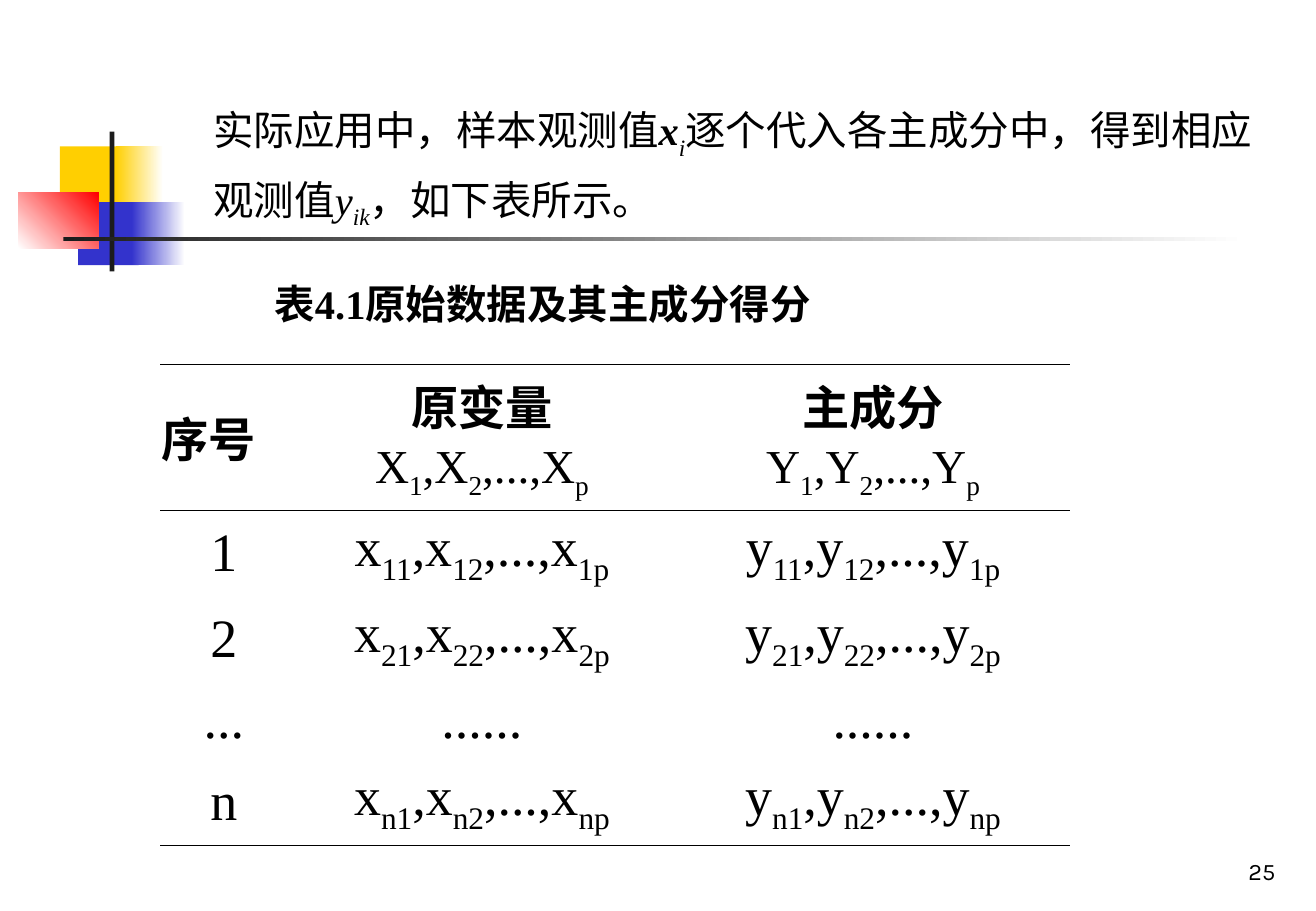
from lxml import etree
from pptx import Presentation
from pptx.dml.color import RGBColor
from pptx.enum.shapes import MSO_SHAPE as Shape
from pptx.enum.text import MSO_ANCHOR as Anchor, MSO_AUTO_SIZE as Fit, PP_ALIGN as Align
from pptx.oxml.ns import qn
from pptx.util import Pt

SERIF = "Times New Roman"
BLACK, WHITE, DARK = "000000", "FFFFFF", "1C1C1C"
GOLD, BLUE, RED = "FFCF01", "3333CC", "FF0000"
PLAIN = "{2D5ABB26-0587-4C30-8999-92F81FD0307C}"  # table style without grid


def color(code):
    return RGBColor.from_string(code)


def write(para, parts, size, face=SERIF):
    """Add (text, style) runs; style letters: b bold, i italic, s subscript."""
    for text, style in parts:
        run = para.add_run()
        run.text = text
        font = run.font
        font.name, font.size = face, Pt(size)
        font.bold, font.italic = "b" in style, "i" in style
        font.color.rgb = color(BLACK)
        if "s" in style:
            run._r.get_or_add_rPr().set("baseline", "-25000")


def add_text(slide, box, parts, size, face=SERIF):
    frame = slide.shapes.add_textbox(*map(Pt, box)).text_frame
    frame.word_wrap = True
    write(frame.paragraphs[0], parts, size, face)
    return frame


def add_block(slide, box, start, end=None, angle=0):
    block = slide.shapes.add_shape(Shape.RECTANGLE, *map(Pt, box))
    block.shadow.inherit = False
    block.line.fill.background()
    fill = block.fill
    if end is None:
        fill.solid()
        fill.fore_color.rgb = color(start)
        return
    fill.gradient()
    fill.gradient_angle = angle
    for stop, code in zip(fill.gradient_stops, (start, end)):
        stop.color.rgb = color(code)


def add_emblem(slide, left, top):
    blocks = [
        ((24.5, 8.6, 37.4, 37.4), GOLD),
        ((57.6, 8.6, 28.1, 37.4), GOLD, WHITE),
        ((35.3, 41.7, 36, 37.4), BLUE),
        ((67, 41.7, 31.7, 37.4), BLUE, WHITE),
        ((0, 36, 47.5, 33.1), WHITE, RED, 45),
        ((54, 0, 2.9, 82.8), DARK),
        ((26.6, 62.6, 702, 2.2), DARK, WHITE),
    ]
    for (x, y, wide, high), *paint in blocks:
        add_block(slide, (left + x, top + y, wide, high), *paint)


def add_intro(slide, box):
    parts = [
        ("实际应用中，样本观测值", ""), ("x", "bi"), ("i", "is"),
        ("逐个代入各主成分中，得到相应观测值", ""), ("y", "i"), ("ik", "is"),
        ("，如下表所示。", ""),
    ]
    frame = add_text(slide, box, parts, 24)
    frame.auto_size = Fit.SHAPE_TO_FIT_TEXT
    frame.paragraphs[0].line_spacing = 1.25


def add_caption(slide, box):
    frame = add_text(slide, box, [("表4.1原始数据及其主成分得分", "b")], 24)
    frame.auto_size = Fit.SHAPE_TO_FIT_TEXT


def add_number(slide, box):
    frame = add_text(slide, box, [("25", "")], 14, "Karla")
    frame.vertical_anchor = Anchor.BOTTOM
    frame.paragraphs[0].alignment = Align.RIGHT


def series(name, row=""):
    """Runs for a list of indexed variables, such as x11,x12,...,x1p."""
    parts = []
    for lead, index in (("", "1"), (",", "2"), (",...,", "p")):
        parts += [(lead + name, ""), (row + index, "s")]
    return parts


def set_rules(cell, ruled):
    """Draw a thin line on the ruled sides and none on the others."""
    props = cell._tc.get_or_add_tcPr()
    for place, side in enumerate(("lnL", "lnR", "lnT", "lnB")):
        line = etree.Element(qn("a:" + side), w=str(Pt(0.23)))
        if side in ruled:
            fill = etree.SubElement(line, qn("a:solidFill"))
            etree.SubElement(fill, qn("a:srgbClr"), val=BLACK)
        else:
            etree.SubElement(line, qn("a:noFill"))
        props.insert(place, line)


def fill_cell(cell, parts, size, align):
    cell.fill.background()
    cell.vertical_anchor = Anchor.MIDDLE
    cell.margin_left = cell.margin_right = Pt(0.72)
    para = cell.text_frame.paragraphs[0]
    para.alignment = align
    write(para, parts, size)


def add_scores(slide, left, top):
    widths = [75.6, 230.4, 233.5]
    heights = [38.2, 43.2, 48.2, 48.2, 43.2, 48.2]
    dots = [("......", "")]
    rows = [
        [[("序号", "b")], [("原变量", "b")], [("主成分", "b")]],
        [[], series("X"), series("Y")],
    ]
    rows += [[[(n, "")], series("x", n), series("y", n)] for n in "12n"]
    rows.insert(4, [[("...", "")], dots, dots])

    table = slide.shapes.add_table(
        len(rows), len(widths), Pt(left), Pt(top), Pt(sum(widths)), Pt(sum(heights))
    ).table
    table.first_row = table.horz_banding = False
    table._tbl.tblPr.find(qn("a:tableStyleId")).text = PLAIN
    for col, width in zip(table.columns, widths):
        col.width = Pt(width)
    for row, height in zip(table.rows, heights):
        row.height = Pt(height)
    table.cell(0, 0).merge(table.cell(1, 0))

    for r, row in enumerate(rows):
        for c, parts in enumerate(row):
            cell = table.cell(r, c)
            align = Align.LEFT if r == c == 0 else Align.CENTER
            fill_cell(cell, parts, 28 if r < 2 else 32, align)
            ruled = set()
            if r in (0, 2):
                ruled.add("lnT")
            if r in (1, len(rows) - 1) or r == c == 0:
                ruled.add("lnB")
            set_rules(cell, ruled)


def main():
    deck = Presentation()
    deck.slide_width, deck.slide_height = Pt(780.48), Pt(540)
    slide = deck.slides.add_slide(deck.slide_layouts[6])
    add_emblem(slide, 11, 78.1)
    add_intro(slide, (119.6, 50.8, 637.9, 89.3))
    add_number(slide, (600.8, 492.1, 162.7, 36))
    add_scores(slide, 95.04, 216)
    add_caption(slide, (155.7, 161.6, 417.6, 36))
    deck.save("out.pptx")


if __name__ == "__main__":
    main()
